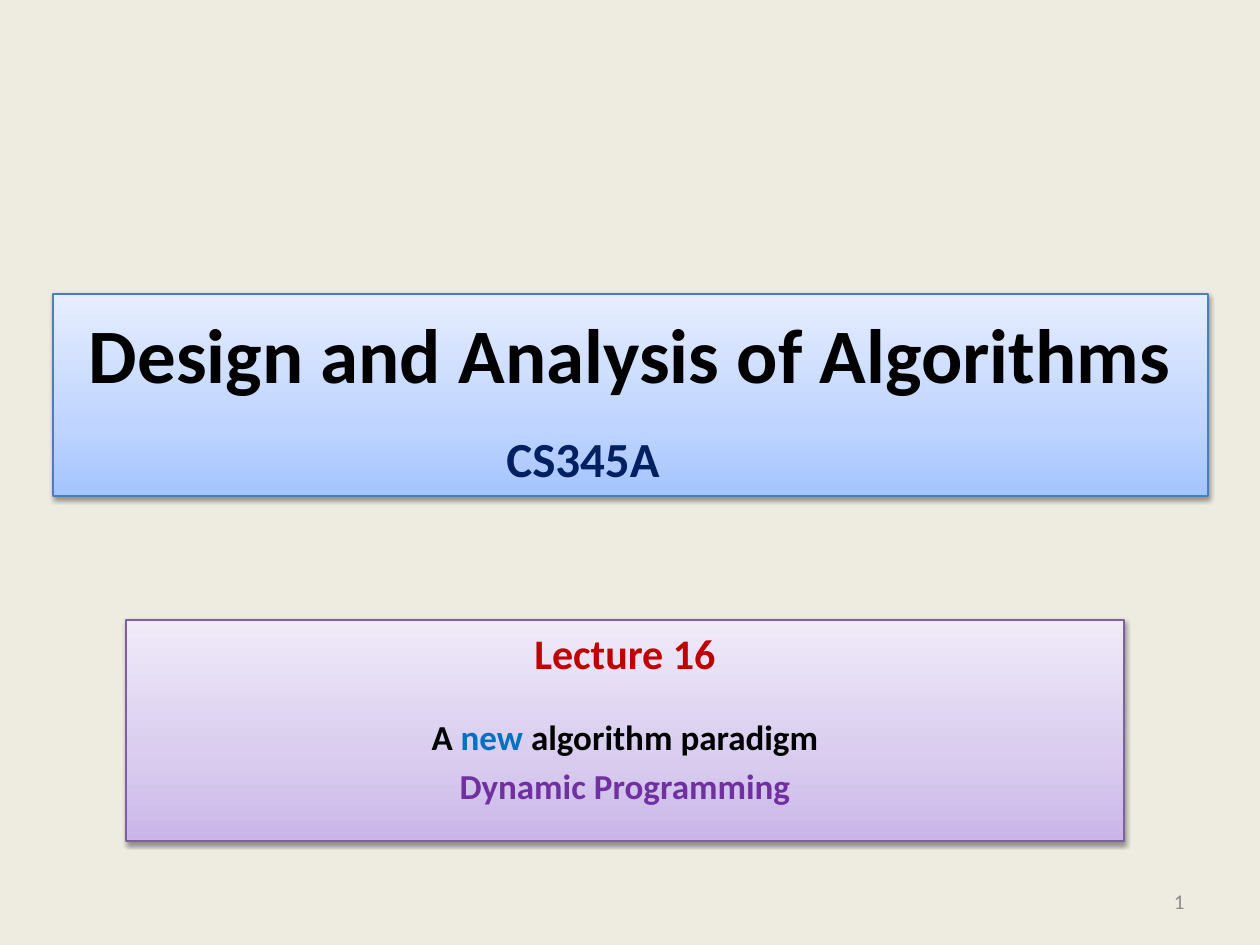
from copy import deepcopy

from pptx import Presentation
from pptx.dml.color import RGBColor
from pptx.enum.shapes import MSO_SHAPE
from pptx.enum.text import MSO_ANCHOR, PP_ALIGN
from pptx.oxml import parse_xml
from pptx.oxml.ns import nsdecls, qn
from pptx.util import Pt

PX = 914400 // 126
FONT = "Calibri"
HUES = {
    "back": "EEECE1", "black": "000000", "navy": "002060", "red": "C00000",
    "blue": "0070C0", "purple": "7030A0", "gray": "8C8C8C",
    "title edge": "4B7EBC", "topic edge": "7D60A0",
}
FADES = {
    "title": ("A4C4FF", "BFD4FF", "E6EEFF"),
    "topic": ("C9B5E8", "D8CBEE", "F0EAF9"),
}
STOPS = (0, 0.35, 1)

# Each line: size, space before, bold, runs of (text, colour)
TITLE = [(44, 0, True, [("Design and Analysis of Algorithms", "black")])]
TOPIC = [
    (24, 0, True, [("Lecture 16", "red")]),
    (20, 21, True, [("A ", "black"), ("new", "blue"),
                    (" algorithm paradigm", "black")]),
    (20, 4, True, [("Dynamic Programming", "purple")]),
]
COURSE = [(28, 0, True, [("CS345A", "navy")])]
NUMBER = [(12, 0, False, [("1", "gray")])]

# Panels: name, box in px, top inset in px, lines
PANELS = [
    ("title", (53, 294, 1155, 202), 13, TITLE),
    ("topic", (126, 620, 998, 221), 8, TOPIC),
]
# Labels: box in px, alignment, anchor, lines
LABELS = [
    ((903, 876, 294, 50), PP_ALIGN.RIGHT, MSO_ANCHOR.MIDDLE, NUMBER),
    ((494, 422, 220, 72), PP_ALIGN.LEFT, MSO_ANCHOR.TOP, COURSE),
]

SHADOW = (
    f'<a:outerShdw {nsdecls("a")} blurRad="40000" dist="20000" dir="5400000" '
    'rotWithShape="0"><a:srgbClr val="000000"><a:alpha val="38000"/>'
    '</a:srgbClr></a:outerShdw>'
)


def hue(name):
    return RGBColor.from_string(HUES[name])


def place(box):
    return [n * PX for n in box]


def write(shape, lines, align, anchor):
    frame = shape.text_frame
    frame.word_wrap = True
    frame.vertical_anchor = anchor
    for i, (size, gap, bold, runs) in enumerate(lines):
        para = frame.add_paragraph() if i else frame.paragraphs[0]
        para.alignment = align
        para.space_before = Pt(gap)
        para.font.name, para.font.size, para.font.bold = FONT, Pt(size), bold
        for text, color in runs:
            run = para.add_run()
            run.text = text
            run.font.color.rgb = hue(color)


def fade(shape, colors):
    """Fill with three stops that run from bottom to top."""
    shape.fill.gradient()
    shape.fill.gradient_angle = 90
    stops = shape._element.spPr.find(".//" + qn("a:gsLst"))
    stops.append(deepcopy(stops[-1]))
    for stop, at, color in zip(shape.fill.gradient_stops, STOPS, colors):
        stop.position = at
        stop.color.rgb = RGBColor.from_string(color)


def panel(slide, name, box, inset, lines):
    shape = slide.shapes.add_shape(MSO_SHAPE.RECTANGLE, *place(box))
    fade(shape, FADES[name])
    shape.line.color.rgb = hue(name + " edge")
    shape.line.width = Pt(0.75)
    shape.shadow.inherit = False
    shape._element.spPr.find(qn("a:effectLst")).append(parse_xml(SHADOW))
    shape.text_frame.margin_top = inset * PX
    write(shape, lines, PP_ALIGN.CENTER, MSO_ANCHOR.TOP)


def main():
    deck = Presentation()
    deck.slide_width, deck.slide_height = place((1260, 945))
    slide = deck.slides.add_slide(deck.slide_layouts[6])
    back = slide.background.fill
    back.solid()
    back.fore_color.rgb = hue("back")
    for item in PANELS:
        panel(slide, *item)
    for box, align, anchor, lines in LABELS:
        label = slide.shapes.add_textbox(*place(box))
        write(label, lines, align, anchor)
    deck.save("out.pptx")


if __name__ == "__main__":
    main()
